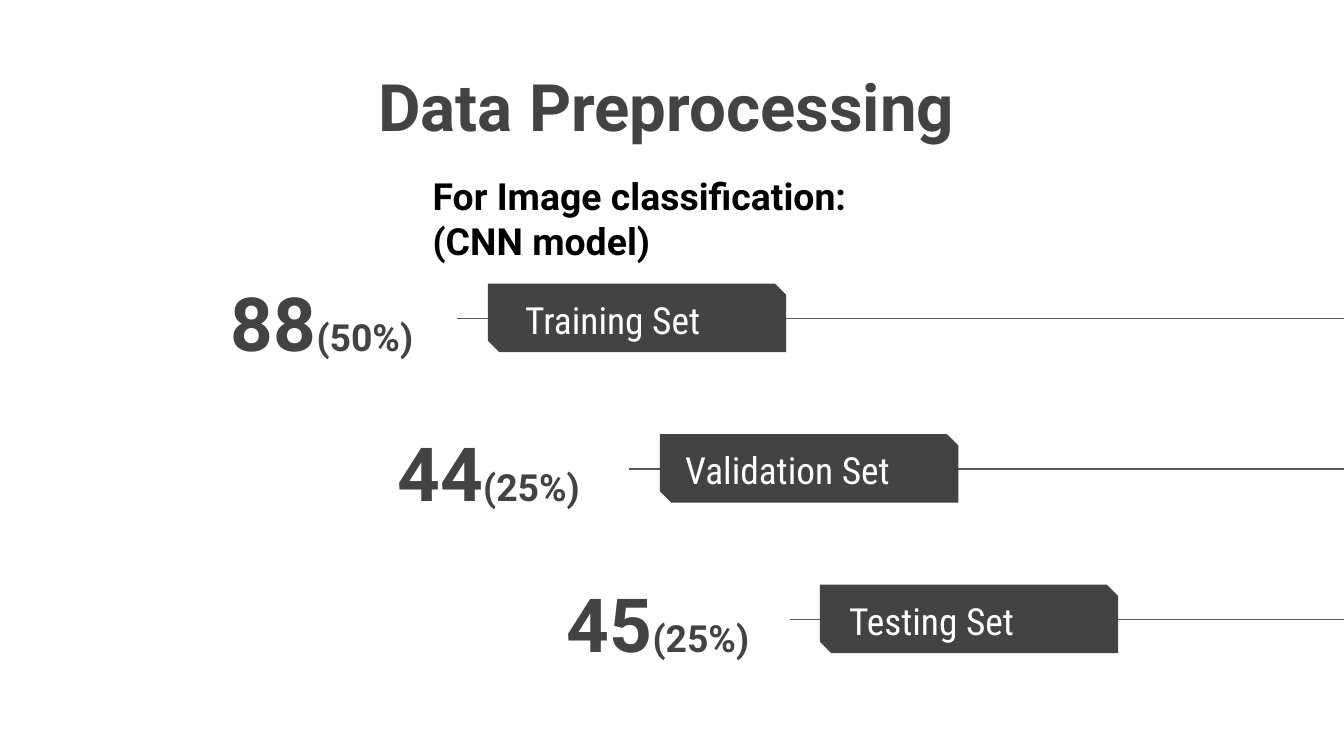
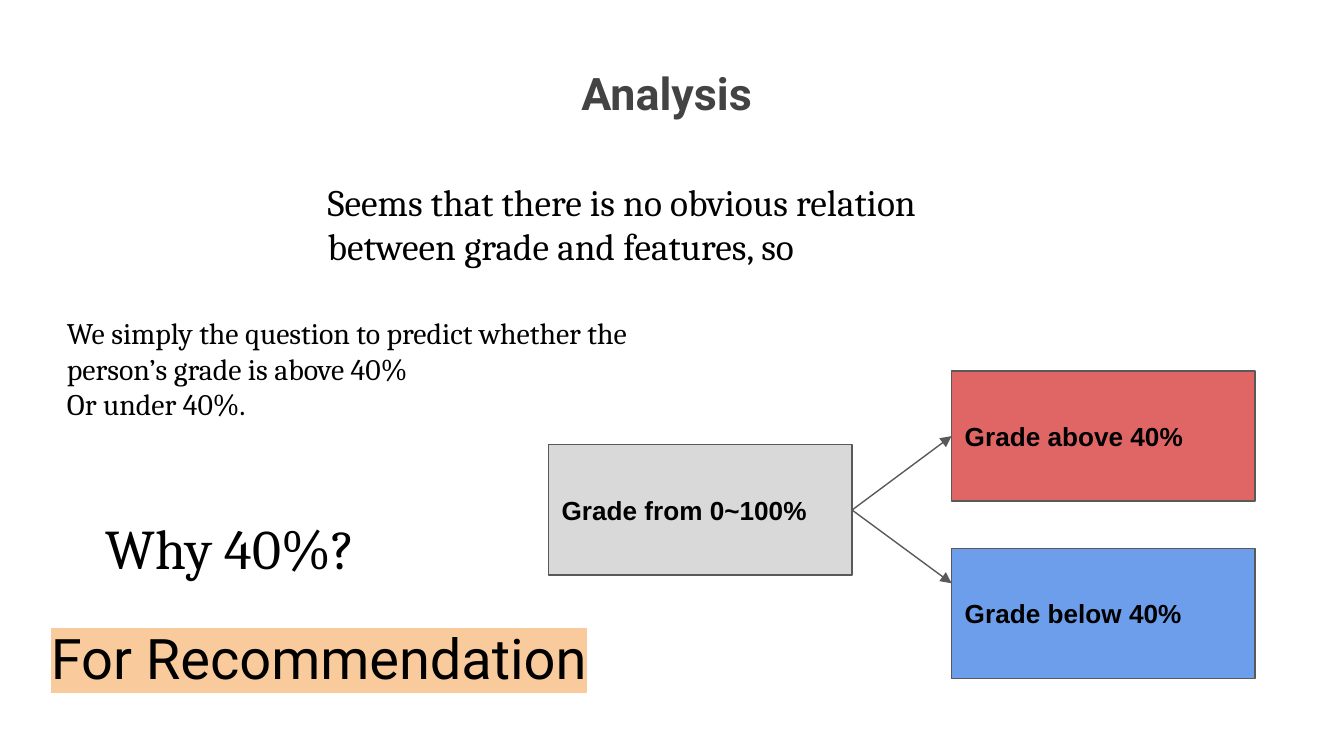
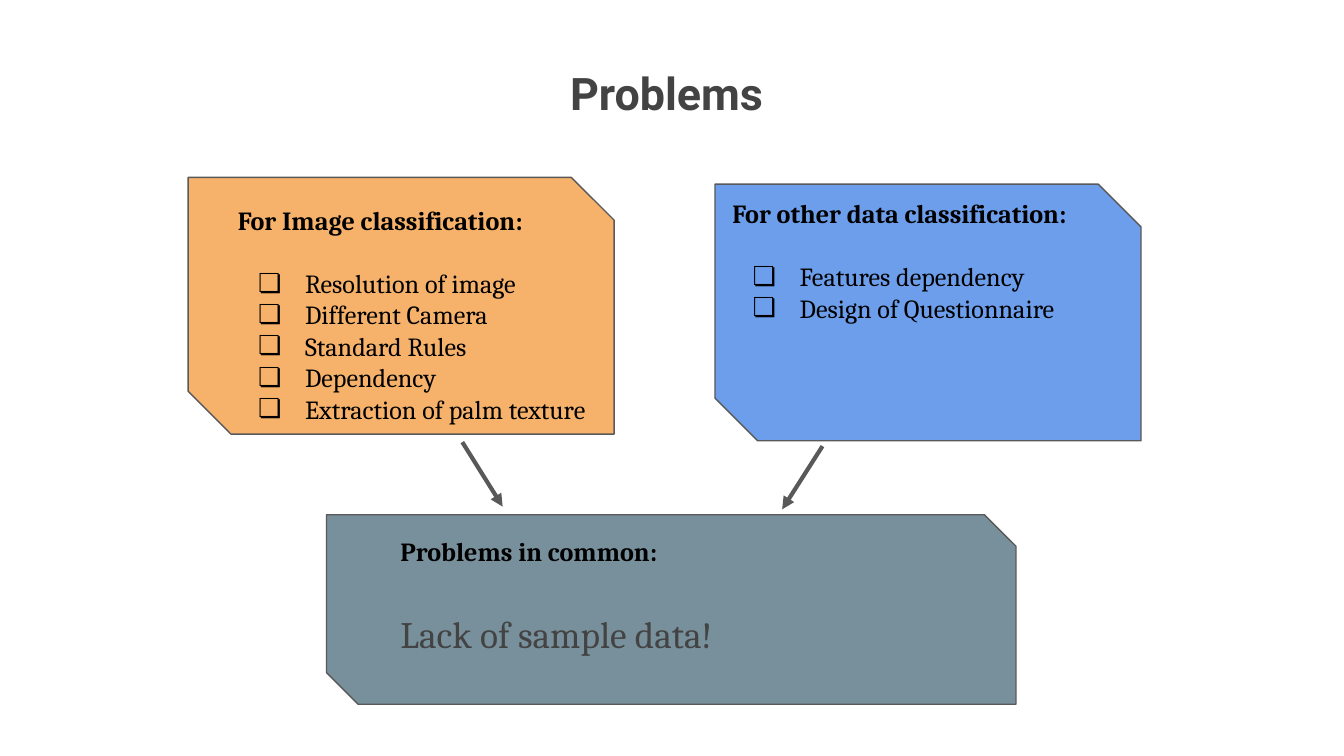
from dataclasses import dataclass

from lxml.etree import SubElement
from pptx import Presentation
from pptx.dml.color import RGBColor
from pptx.enum.shapes import MSO_CONNECTOR, MSO_SHAPE
from pptx.enum.text import MSO_ANCHOR, MSO_AUTO_SIZE, PP_ALIGN
from pptx.oxml.ns import qn
from pptx.util import Inches, Pt


@dataclass(frozen=True)
class Theme:
    dark: str = "434343"
    line: str = "595959"
    black: str = "000000"
    white: str = "FFFFFF"
    red: str = "E06666"
    blue: str = "6D9EEB"
    grey: str = "D9D9D9"
    slate: str = "78909C"
    orange: str = "F6B26B"
    highlight: str = "F9CB9C"
    sans: str = "Roboto"
    condensed: str = "Roboto Condensed"
    serif: str = "Cambria"
    plain: str = "Arial"
    cover_title: int = 35
    title: int = 24
    number: int = 40
    question: int = 30
    large: int = 20
    medium: int = 16
    small: int = 14
    thin: float = 0.75
    thick: float = 2.25


theme = Theme()


def write_text(shape, text, *, size, font=theme.serif, color=theme.black, bold=False,
               align=PP_ALIGN.LEFT, anchor=MSO_ANCHOR.TOP, bullet=None,
               space_after=0, highlight=None, same_paragraph=False):
    """Add one paragraph per line of text, or a run to the last paragraph."""
    frame = shape.text_frame
    frame.word_wrap = True
    frame.auto_size = MSO_AUTO_SIZE.NONE
    frame.vertical_anchor = anchor
    frame.margin_left = frame.margin_right = Inches(0.1)
    frame.margin_top = frame.margin_bottom = Inches(0.1)
    for line in text.split("\n"):
        if same_paragraph or not frame.text:
            paragraph = frame.paragraphs[-1]
        else:
            paragraph = frame.add_paragraph()
        if not same_paragraph:
            paragraph.alignment = align
            paragraph.line_spacing = 1.0
            paragraph.space_before = Pt(0)
            paragraph.space_after = Pt(space_after)
            properties = paragraph._p.get_or_add_pPr()
            properties.set("marL", str(Inches(0.5) if bullet else 0))
            properties.set("indent", str(Inches(-0.35) if bullet else 0))
            if bullet:
                bullet_color = SubElement(properties, qn("a:buClr"))
                SubElement(bullet_color, qn("a:srgbClr"), val=color)
                SubElement(properties, qn("a:buFont"), typeface=theme.plain)
                SubElement(properties, qn("a:buChar"), char=bullet)
            else:
                SubElement(properties, qn("a:buNone"))
        run = paragraph.add_run()
        run.text = line
        run.font.size = Pt(size)
        run.font.name = font
        run.font.bold = bold
        run.font.color.rgb = RGBColor.from_string(color)
        if highlight:
            run_properties = run._r.get_or_add_rPr()
            marker = SubElement(run_properties, qn("a:highlight"))
            SubElement(marker, qn("a:srgbClr"), val=highlight)
            run_properties.find(qn("a:solidFill")).addnext(marker)


def style_shape(shape, fill=None, outline=theme.thin, arrow=False):
    """Format a filled shape, or a connector when no fill is given."""
    if outline:
        shape.line.color.rgb = RGBColor.from_string(theme.line)
        shape.line.width = Pt(outline)
    else:
        shape.line.fill.background()
    properties = shape.element.spPr
    if arrow:
        SubElement(properties.find(qn("a:ln")), qn("a:tailEnd"), type="triangle")
    if fill:
        shape.fill.solid()
        shape.fill.fore_color.rgb = RGBColor.from_string(fill)
        shape.shadow.inherit = False
    else:
        SubElement(properties, qn("a:effectLst"))


presentation = Presentation()
presentation.slide_width = Inches(10)
presentation.slide_height = presentation.slide_width * 9 // 16
TITLE_ONLY, TWO_CONTENT = presentation.slide_layouts[5], presentation.slide_layouts[3]

for layout, title, size in [
    (TITLE_ONLY, "Data Preprocessing", theme.cover_title),
    (TITLE_ONLY, "Analysis", theme.title),
    (TWO_CONTENT, "Problems", theme.title),
]:
    heading = presentation.slides.add_slide(layout).shapes.title
    heading.left, heading.top = Inches(2.11), Inches(0.39)
    heading.width, heading.height = Inches(5.7), Inches(1.03)
    write_text(heading, title, size=size, font=theme.sans, color=theme.dark,
               bold=True, align=PP_ALIGN.CENTER)

preprocessing, analysis, problems = presentation.slides

# Data Preprocessing: one row for each part of the data
shapes = preprocessing.shapes
for row, (count, share, name, count_left, line_left, tag_left, name_left) in enumerate([
    ("88", "(50%)", "Training Set", 1.62, 3.4, 3.63, 3.81),
    ("44", "(25%)", "Validation Set", 2.86, 4.68, 4.91, 5),
    ("45", "(25%)", "Testing Set", 4.12, 5.88, 6.1, 6.22),
]):
    tag_top = 2.11 + 1.12 * row
    line_top = Inches(tag_top + 0.26)
    rule = shapes.add_connector(MSO_CONNECTOR.STRAIGHT, Inches(10), line_top,
                                Inches(line_left), line_top)
    style_shape(rule)
    count_box = shapes.add_textbox(Inches(count_left), Inches(tag_top - 0.15),
                                   Inches(1.83), Inches(0.83))
    count_format = dict(font=theme.sans, color=theme.dark, bold=True)
    write_text(count_box, count, size=theme.number, **count_format)
    write_text(count_box, share, size=theme.large, same_paragraph=True, **count_format)
    tag = shapes.add_shape(MSO_SHAPE.SNIP_2_DIAG_RECTANGLE, Inches(tag_left),
                           Inches(tag_top), Inches(2.22), Inches(0.51))
    style_shape(tag, theme.dark, outline=0)
    name_box = shapes.add_textbox(Inches(name_left), Inches(tag_top),
                                  Inches(3.57), Inches(0.37))
    write_text(name_box, name, size=theme.large, font=theme.condensed, color=theme.white)

purpose = shapes.add_textbox(Inches(3.12), Inches(1.19), Inches(4.49), Inches(0.61))
write_text(purpose, "For Image classification:\n(CNN model)", size=theme.large,
           font=theme.sans, bold=True)

# Analysis: remarks and the split of the grades
shapes = analysis.shapes
for text, left, top, width, height, text_format in [
    ("Seems that there is no obvious relation between grade and features, so",
     2.34, 1.23, 5.52, 1.82, dict(size=theme.large)),
    ("We simply the question to predict whether the person’s grade is above 40%\n"
     "Or under 40%.", 0.4, 2.24, 4.62, 1.14, dict(size=theme.medium)),
    ("Why 40%?", 0.69, 3.72, 2.87, 0.83, dict(size=theme.question)),
    ("For Recommendation", 0.28, 4.54, 4.32, 0.83,
     dict(size=theme.question, font=theme.sans, highlight=theme.highlight)),
]:
    remark = shapes.add_textbox(Inches(left), Inches(top), Inches(width), Inches(height))
    write_text(remark, text, **text_format)

grade_boxes = []
for text, left, top, fill in [
    ("Grade above 40%", 7.08, 2.76, theme.red),
    ("Grade below 40%", 7.08, 4.08, theme.blue),
    ("Grade from 0~100%", 4.08, 3.31, theme.grey),
]:
    box = shapes.add_shape(MSO_SHAPE.RECTANGLE, Inches(left), Inches(top),
                           Inches(2.26), Inches(0.97))
    style_shape(box, fill)
    write_text(box, text, size=theme.small, font=theme.plain, bold=True,
               anchor=MSO_ANCHOR.MIDDLE)
    grade_boxes.append(box)

above, below, all_grades = grade_boxes
for end_top, target in [(3.24, above), (4.34, None)]:
    branch = shapes.add_connector(MSO_CONNECTOR.STRAIGHT, Inches(6.34), Inches(3.79),
                                  Inches(7.08), Inches(end_top))
    branch.begin_connect(all_grades, 3)
    if target:
        branch.end_connect(target, 1)
    style_shape(branch, arrow=True)

# Problems: two lists that lead to a common problem
shapes = problems.shapes
for left, top, width, height, fill in [
    (2.43, 3.83, 5.13, 1.41, theme.slate),
    (5.32, 1.37, 3.17, 1.91, theme.blue),
    (1.4, 1.32, 3.17, 1.91, theme.orange),
]:
    card = shapes.add_shape(MSO_SHAPE.SNIP_2_DIAG_RECTANGLE, Inches(left), Inches(top),
                            Inches(width), Inches(height))
    style_shape(card, fill)

for index, left, top, heading, items in [
    (1, 1.67, 1.42, "For Image classification:",
     ["Resolution of image", "Different Camera", "Standard Rules", "Dependency",
      "Extraction of palm texture"]),
    (2, 5.35, 1.37, "For other data classification:",
     ["Features dependency", "Design of Questionnaire"]),
]:
    body = problems.placeholders[index]
    body.left, body.top = Inches(left), Inches(top)
    body.width, body.height = Inches(3.26), Inches(2.18)
    write_text(body, heading, size=theme.small, bold=True, space_after=17)
    write_text(body, "\n".join(items), size=theme.small, bullet="❏")
    # Bring the list in front of its card
    body.element.getparent().append(body.element)

common = shapes.add_textbox(Inches(2.88), Inches(3.88), Inches(6.75), Inches(1.41))
write_text(common, "Problems in common:", size=theme.small, bold=True, space_after=24)
write_text(common, "Lack of sample data!", size=theme.large, color=theme.dark)

for start_left, start_top, end_left, end_top in [
    (3.44, 3.29, 3.74, 3.77),
    (6.12, 3.32, 5.82, 3.79),
]:
    arrow = shapes.add_connector(MSO_CONNECTOR.STRAIGHT, Inches(start_left),
                                 Inches(start_top), Inches(end_left), Inches(end_top))
    style_shape(arrow, outline=theme.thick, arrow=True)

presentation.save("out.pptx")
